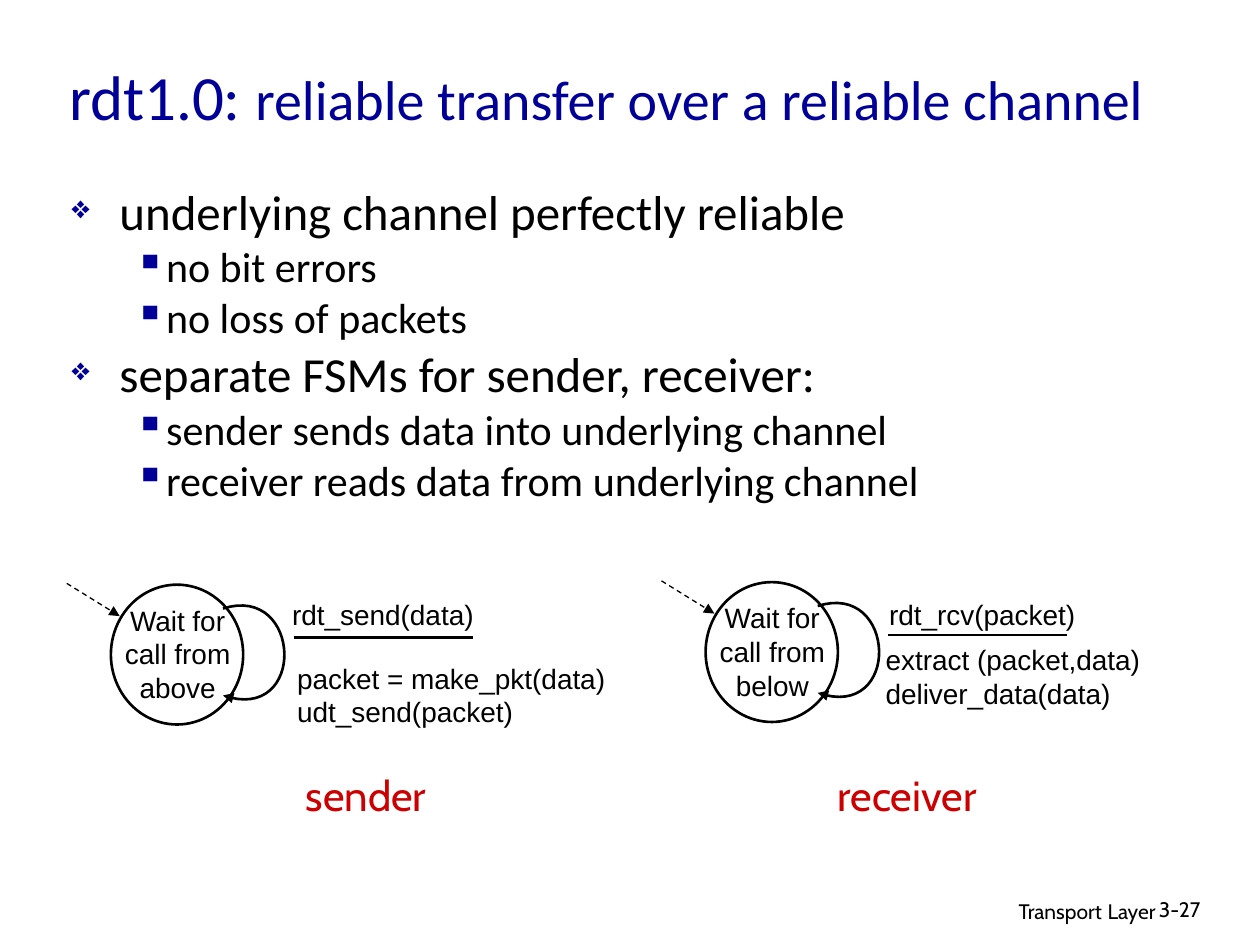
"""Build the rdt1.0 slide: bullet points above the sender and receiver state machines."""
from lxml import etree
from pptx import Presentation
from pptx.dml.color import RGBColor
from pptx.enum import dml, shapes, text as txt
from pptx.oxml import ns
from pptx.util import Inches, Pt

BLACK = RGBColor(0x00, 0x00, 0x00)
WHITE = RGBColor(0xFF, 0xFF, 0xFF)
NAVY = RGBColor(0x00, 0x00, 0x99)
RED = RGBColor(0xCC, 0x00, 0x00)
LEFT, CENTER, RIGHT = txt.PP_ALIGN.LEFT, txt.PP_ALIGN.CENTER, txt.PP_ALIGN.RIGHT

TITLE = [("rdt1.0: ", 36), ("reliable transfer over a reliable channel", 32)]
POINTS = [
    (0, "underlying channel perfectly reliable"),
    (1, "no bit errors"),
    (1, "no loss of packets"),
    (0, "separate FSMs for sender, receiver:"),
    (1, "sender sends data into underlying channel"),
    (1, "receiver reads data from underlying channel"),
]
LEVELS = [
    dict(size=28, indent=0.38, hang=0.38, mark="❖", percent=65),
    dict(size=24, indent=0.75, hang=0.25, mark="▪", percent=100),
]
MACHINES = [
    dict(origin=(0.88, 4.64), state="Wait for call from above",
         event="rdt_send(data)", event_box=(2.22, 4.69, 2.47, 0.47),
         event_format=dict(),
         actions=["packet = make_pkt(data)", "udt_send(packet)"],
         actions_box=(2.26, 5.2, 2.93, 0.65),
         role="sender", role_box=(2.31, 6.06, 1.19, 0.5)),
    dict(origin=(5.6, 4.62), state="Wait for call from below",
         event="rdt_rcv(packet)", event_box=(6.95, 4.69, 1.69, 0.37),
         event_format=dict(align=CENTER, wrap=False),
         actions=["extract (packet,data)", "deliver_data(data)"],
         actions_box=(6.93, 5.05, 2.72, 0.47),
         role="receiver", role_box=(6.52, 6.06, 1.36, 0.5)),
]
FOOTER = [("Transport", 12), (" ", 14), ("Layer", 12)]
PAGE = "3-27"
LOOP = [(0.89, 0.19), (1.52, -0.01), (1.56, 1.11), (0.89, 0.88)]
LOOP_STEPS = 32


def add_text(slide, paragraphs, box, size=16, font="Arial", color=BLACK,
             align=LEFT, anchor=txt.MSO_ANCHOR.TOP, wrap=True):
    frame = slide.shapes.add_textbox(*map(Inches, box)).text_frame
    frame.word_wrap = wrap
    frame.vertical_anchor = anchor
    if not wrap:
        frame.auto_size = txt.MSO_AUTO_SIZE.SHAPE_TO_FIT_TEXT
    for i, content in enumerate(paragraphs):
        paragraph = frame.add_paragraph() if i else frame.paragraphs[0]
        paragraph.alignment = align
        for words, points in [(content, size)] if isinstance(content, str) else content:
            run = paragraph.add_run()
            run.text = words
            run.font.size = Pt(points)
            run.font.name = font
            run.font.color.rgb = color
    return frame


def add_bullet(paragraph, level, first):
    style = LEVELS[level]
    props = paragraph._p.get_or_add_pPr()
    props.set("marL", str(Inches(style["indent"])))
    props.set("indent", str(-Inches(style["hang"])))
    color = etree.SubElement(props, ns.qn("a:buClr"))
    etree.SubElement(color, ns.qn("a:srgbClr"), val=str(NAVY))
    etree.SubElement(props, ns.qn("a:buSzPct"), val=str(style["percent"] * 1000))
    etree.SubElement(props, ns.qn("a:buChar"), char=style["mark"])
    paragraph.level = level
    paragraph.line_spacing = 0.85
    paragraph.space_before = Pt(0 if first else style["size"] * 0.2)


def set_line(shape, width=1.5, dashed=False, arrow=False):
    shape.line.color.rgb = BLACK
    shape.line.width = Pt(width)
    if dashed:
        shape.line.dash_style = dml.MSO_LINE.DASH
    if arrow:
        etree.SubElement(shape.line._get_or_add_ln(), ns.qn("a:tailEnd"), type="triangle")


def add_line(slide, start, end, **style):
    line = slide.shapes.add_connector(
        shapes.MSO_CONNECTOR.STRAIGHT, *map(Inches, (*start, *end)))
    set_line(line, **style)
    etree.SubElement(line._element.spPr, ns.qn("a:effectLst"))


def curve_point(controls, t):
    weights = ((1 - t) ** 3, 3 * t * (1 - t) ** 2, 3 * t * t * (1 - t), t ** 3)
    return tuple(Inches(sum(w * c[axis] for w, c in zip(weights, controls)))
                 for axis in (0, 1))


def add_machine(slide, machine):
    x, y = machine["origin"]
    circle = slide.shapes.add_shape(
        shapes.MSO_SHAPE.OVAL, *map(Inches, (x, y, 1.05, 1.11)))
    circle.shadow.inherit = False
    circle.fill.solid()
    circle.fill.fore_color.rgb = WHITE
    set_line(circle)
    add_text(slide, [machine["state"]], (x - 0.07, y + 0.1, 1.2, 1), align=CENTER)

    controls = [(x + dx, y + dy) for dx, dy in LOOP]
    points = [curve_point(controls, i / LOOP_STEPS) for i in range(LOOP_STEPS + 1)]
    builder = slide.shapes.build_freeform(*points[0])
    builder.add_line_segments(points[1:], close=False)
    loop = builder.convert_to_shape()
    loop.shadow.inherit = False
    loop.fill.background()
    set_line(loop, arrow=True)

    add_text(slide, machine["actions"], machine["actions_box"])
    add_text(slide, [machine["event"]], machine["event_box"], **machine["event_format"])
    add_line(slide, (x + 1.45, y + 0.42), (x + 2.87, y + 0.42))
    add_line(slide, (x - 0.35, y - 0.01), (x + 0.07, y + 0.25),
             width=0.75, dashed=True, arrow=True)
    add_text(slide, [machine["role"]], machine["role_box"], size=24, font="Cabin",
             color=RED, align=CENTER, wrap=False)


def main():
    deck = Presentation()
    deck.slide_width, deck.slide_height = Inches(10), Inches(7.5)
    slide = deck.slides.add_slide(deck.slide_layouts[6])
    add_text(slide, [FOOTER], (6.1, 7.05, 3.17, 0.31), font="Cabin", align=RIGHT)
    add_text(slide, [PAGE], (9.1, 7.07, 0.74, 0.3), size=12, font="Cabin")
    add_text(slide, [TITLE], (0.45, 0.21, 8.75, 1.1), font="Calibri", color=NAVY,
             anchor=txt.MSO_ANCHOR.MIDDLE)
    body = add_text(slide, [[(words, LEVELS[level]["size"])] for level, words in POINTS],
                    (0.47, 1.46, 8.64, 3.3), font="Calibri")
    for i, (level, _) in enumerate(POINTS):
        add_bullet(body.paragraphs[i], level, first=i == 0)
    for machine in MACHINES:
        add_machine(slide, machine)
    deck.save("out.pptx")


if __name__ == "__main__":
    main()
